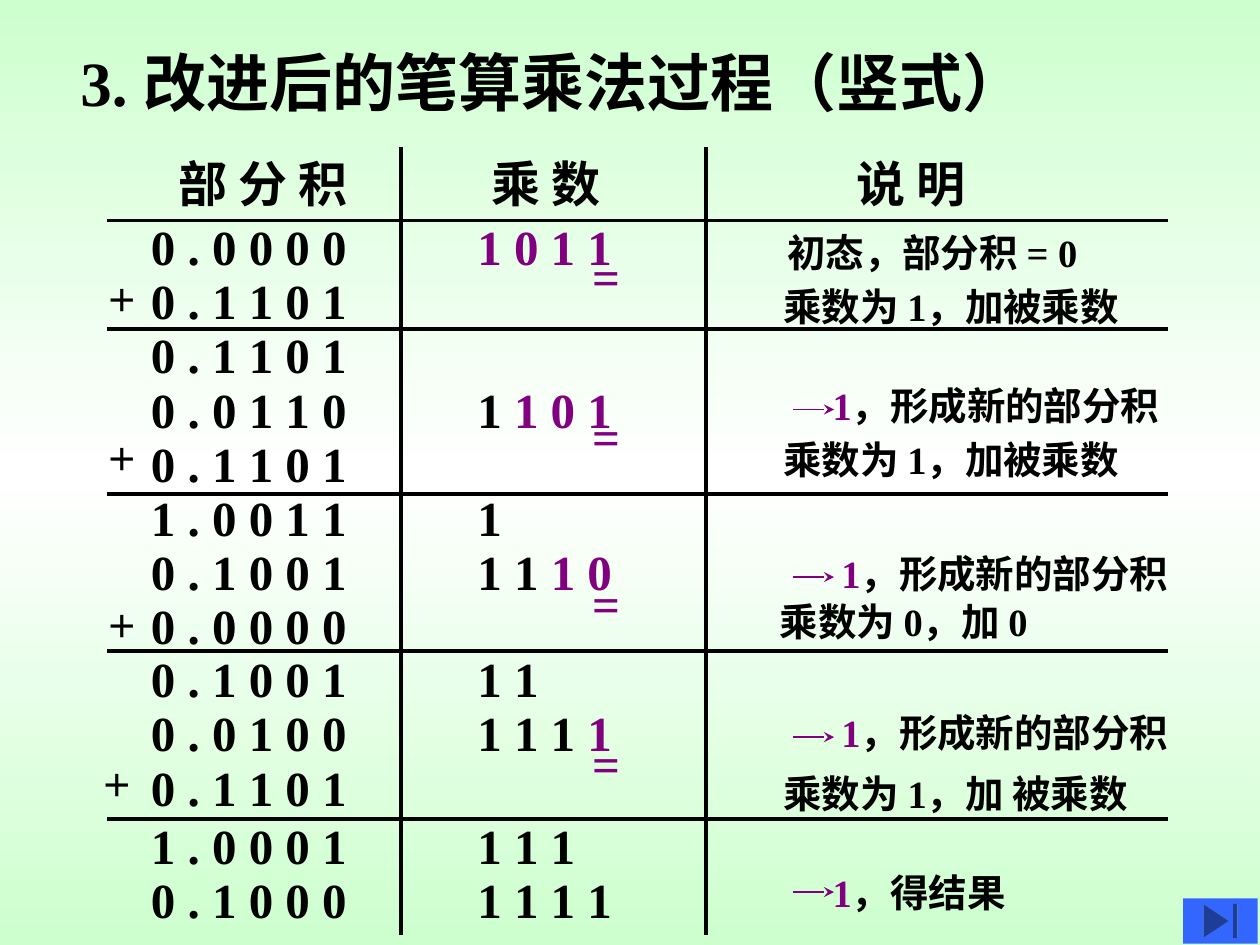
"""Build the slide on the improved pencil-and-paper multiplication."""
import copy
import dataclasses

import lxml.etree
import pptx
import pptx.dml.color
import pptx.enum.shapes
import pptx.enum.text
import pptx.oxml.ns
import pptx.slide
import pptx.util

Inches = pptx.util.Inches
Run = tuple[str, str]


@dataclasses.dataclass(frozen=True)
class Theme:
    """Colours, fonts and type sizes of the slide."""
    ink: str = "000000"
    accent: str = "800080"
    edge: str = "CDFFCE"
    middle: str = "FFFFFF"
    button: str = "3366FF"
    latin: str = "Times New Roman"
    chinese: str = "Noto Sans CJK SC"
    title: int = 36
    digits: int = 28
    note: int = 22
    plus: int = 18


@dataclasses.dataclass(frozen=True)
class Row:
    """One partial product, with shifted-in and remaining multiplier digits."""
    product: str
    shifted: str = ""
    remaining: str = ""


@dataclasses.dataclass(frozen=True)
class Note:
    """One explanation, optionally led by a shift arrow at the given height."""
    left: float
    top: float
    width: float
    text: str
    arrow: float | None = None


@dataclasses.dataclass(frozen=True)
class Step:
    """One block of the calculation between two horizontal rules."""
    top: float
    rows: tuple[Row, ...]
    notes: tuple[Note, ...]
    equals: float | None = None
    plus: tuple[float, float] | None = None


THEME = Theme()
ROW_PITCH = 0.43
PRODUCT_LEFT, MULTIPLIER_LEFT = 1.1, 3.69
TABLE_LEFT, TABLE_RIGHT, TABLE_TOP, TABLE_BOTTOM = 0.85, 9.27, 1.17, 7.42
ROW_RULES = (1.75, 2.61, 3.92, 5.17, 6.5)
COLUMN_RULES = (3.18, 5.6)
HEADINGS = ((1.32, 1.6, "部 分 积"), (3.8, 1.15, "乘 数"), (6.7, 1.15, "说 明"))
SHIFTED = "，形成新的部分积"
STEPS = (
    Step(1.67, (Row("0 . 0 0 0 0", "", "1 0 1 1"), Row("0 . 1 1 0 1")),
         (Note(6.15, 1.77, 2.65, "初态，部分积 = 0"),
          Note(6.12, 2.2, 3.1, "乘数为 1，加被乘数")), 1.91, (0.75, 2.18)),
    Step(2.53, (Row("0 . 1 1 0 1"), Row("0 . 0 1 1 0", "1 ", "1 0 1"),
                Row("0 . 1 1 0 1")),
         (Note(6.51, 2.98, 2.95, SHIFTED, 3.25),
          Note(6.12, 3.41, 3.1, "乘数为 1，加被乘数")), 3.18, (0.75, 3.44)),
    Step(3.82, (Row("1 . 0 0 1 1", "1"), Row("0 . 1 0 0 1", "1 1 ", "1 0"),
                Row("0 . 0 0 0 0")),
         (Note(6.58, 4.32, 2.95, SHIFTED, 4.58),
          Note(6.09, 4.7, 2.5, "乘数为 0，加 0")), 4.5, (0.75, 4.77)),
    Step(5.1, (Row("0 . 1 0 0 1", "1 1"), Row("0 . 0 1 0 0", "1 1 1 ", "1"),
               Row("0 . 1 1 0 1")),
         (Note(6.58, 5.58, 2.95, SHIFTED, 5.85),
          Note(6.12, 6.06, 3.15, "乘数为 1，加 被乘数")), 5.77, (0.71, 6.03)),
    Step(6.42, (Row("1 . 0 0 0 1", "1 1 1"), Row("0 . 1 0 0 0", "1 1 1 1")),
         (Note(6.51, 6.85, 1.75, "，得结果", 7.08),)),
)


def rgb(value: str) -> pptx.dml.color.RGBColor:
    """Turn a hex string into a colour."""
    return pptx.dml.color.RGBColor.from_string(value)


def paint_background(slide: pptx.slide.Slide) -> None:
    """Fill the background with a vertical three-stop gradient."""
    fill = slide.background.fill
    fill.gradient()
    fill.gradient_angle = 90
    stops = slide.element.find(".//" + pptx.oxml.ns.qn("a:gsLst"))
    stops.insert(1, copy.deepcopy(stops[0]))
    colors = (THEME.edge, THEME.middle, THEME.edge)
    for stop, color, position in zip(fill.gradient_stops, colors, (0, 0.5, 1)):
        stop.color.rgb = rgb(color)
        stop.position = position


def add_text(slide: pptx.slide.Slide, left: float, top: float, width: float,
             height: float, size: int, runs: list[Run],
             latin: str = THEME.latin) -> None:
    """Add one unwrapped bold line made of coloured runs."""
    box = slide.shapes.add_textbox(
        Inches(left), Inches(top), Inches(width), Inches(height))
    box.text_frame.word_wrap = False
    box.text_frame.auto_size = pptx.enum.text.MSO_AUTO_SIZE.NONE
    for text, color in runs:
        run = box.text_frame.paragraphs[0].add_run()
        run.text = text
        run.font.size = pptx.util.Pt(size)
        run.font.bold = True
        run.font.name = latin
        run.font.color.rgb = rgb(color)
        lxml.etree.SubElement(run.font._element, pptx.oxml.ns.qn("a:ea"),
                              typeface=THEME.chinese)


def add_digits(slide: pptx.slide.Slide, left: float, top: float, width: float,
               runs: list[Run]) -> None:
    """Add a line in the size of the calculation."""
    add_text(slide, left, top, width, 0.57, THEME.digits, runs)


def add_line(slide: pptx.slide.Slide, start: tuple[float, float],
             end: tuple[float, float], color: str = THEME.ink,
             weight: float = 2.25, arrow: bool = False) -> None:
    """Add a straight line, optionally with a stealth arrowhead."""
    line = slide.shapes.add_connector(
        pptx.enum.shapes.MSO_CONNECTOR.STRAIGHT,
        *(Inches(value) for value in start + end))
    line.line.color.rgb = rgb(color)
    line.line.width = pptx.util.Pt(weight)
    if arrow:
        lxml.etree.SubElement(line.line._get_or_add_ln(),
                              pptx.oxml.ns.qn("a:tailEnd"), type="stealth")
    lxml.etree.SubElement(line._element.spPr, pptx.oxml.ns.qn("a:effectLst"))


def add_note(slide: pptx.slide.Slide, note: Note) -> None:
    """Add one explanation and its shift arrow."""
    runs = [(note.text, THEME.ink)]
    if note.arrow is not None:
        runs.insert(0, ("1", THEME.accent))
        add_line(slide, (6.29, note.arrow), (6.62, note.arrow),
                 THEME.accent, 0.75, arrow=True)
    add_text(slide, note.left, note.top, note.width, 0.47, THEME.note, runs)


def add_step(slide: pptx.slide.Slide, step: Step) -> None:
    """Add the digits, signs and explanations of one step."""
    for index, row in enumerate(step.rows):
        top = step.top + index * ROW_PITCH
        add_digits(slide, PRODUCT_LEFT, top, 1.8, [(row.product, THEME.ink)])
        parts = ((row.shifted, THEME.ink), (row.remaining, THEME.accent))
        runs = [part for part in parts if part[0]]
        if runs:
            length = len(row.shifted + row.remaining)
            add_digits(slide, MULTIPLIER_LEFT, top,
                       0.42 + 0.3 * (length // 2), runs)
    if step.equals is not None:
        add_digits(slide, 4.6, step.equals, 0.45, [("=", THEME.accent)])
    if step.plus is not None:
        add_text(slide, *step.plus, 0.59, 0.4, THEME.plus,
                 [("＋", THEME.ink)], THEME.chinese)
    for note in step.notes:
        add_note(slide, note)


def add_end_button(slide: pptx.slide.Slide) -> None:
    """Add the button in the bottom right corner."""
    button = slide.shapes.add_shape(
        pptx.enum.shapes.MSO_SHAPE.ACTION_BUTTON_END,
        Inches(9.39), Inches(7.13), Inches(0.59), Inches(0.36))
    button.shadow.inherit = False
    button.fill.solid()
    button.fill.fore_color.rgb = rgb(THEME.button)
    button.line.fill.background()


def main() -> None:
    """Build and save the presentation."""
    deck = pptx.Presentation()
    deck.slide_width, deck.slide_height = Inches(10), Inches(7.5)
    slide = deck.slides.add_slide(deck.slide_layouts[6])
    paint_background(slide)
    add_text(slide, 0.54, 0.3, 7.9, 0.7, THEME.title,
             [("3. 改进后的笔算乘法过程（竖式）", THEME.ink)])
    for left, width, heading in HEADINGS:
        add_digits(slide, left, TABLE_TOP, width, [(heading, THEME.ink)])
    for y in ROW_RULES:
        add_line(slide, (TABLE_LEFT, y), (TABLE_RIGHT, y))
    for x in COLUMN_RULES:
        add_line(slide, (x, TABLE_TOP), (x, TABLE_BOTTOM))
    for step in STEPS:
        add_step(slide, step)
    add_end_button(slide)
    deck.save("out.pptx")


if __name__ == "__main__":
    main()
